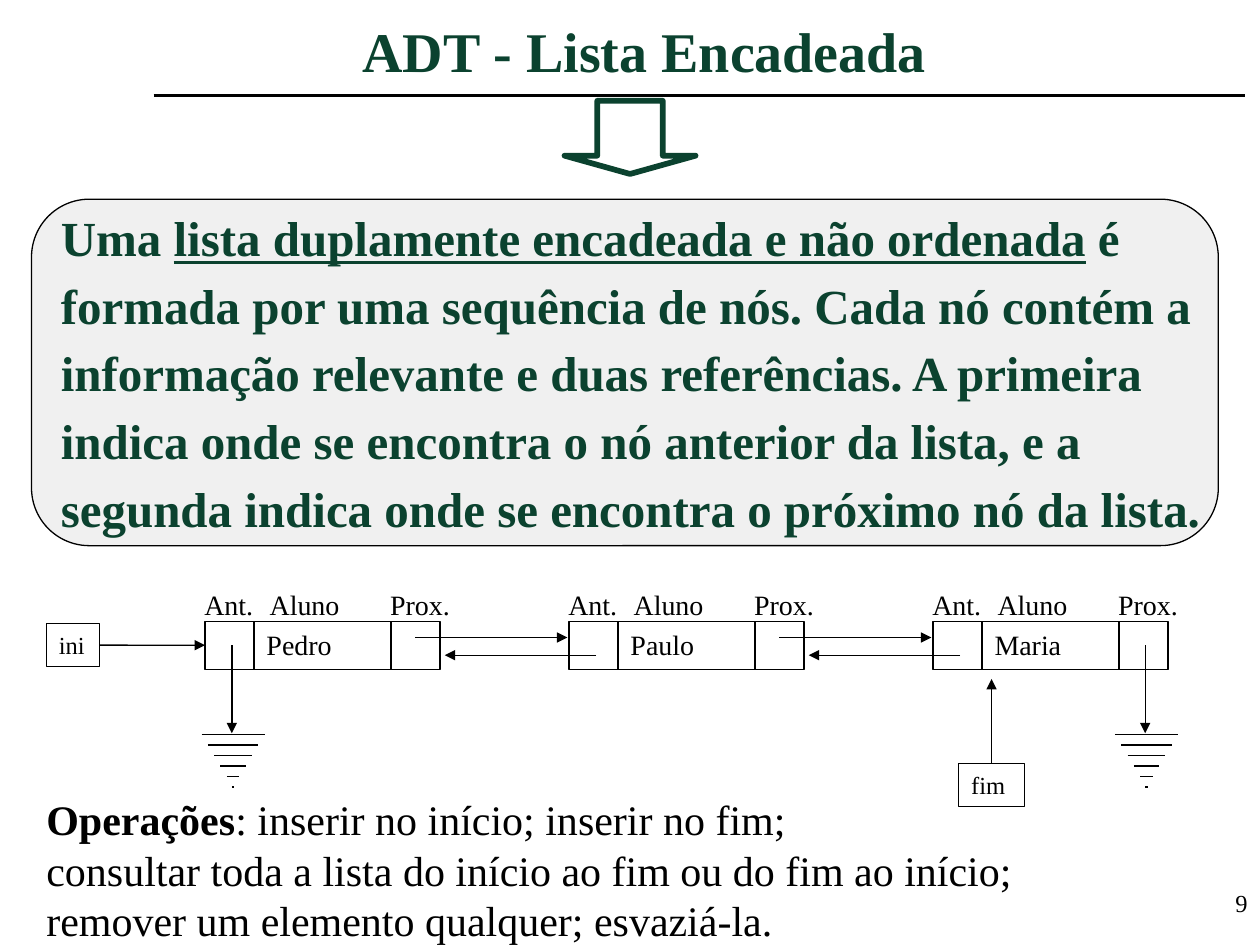
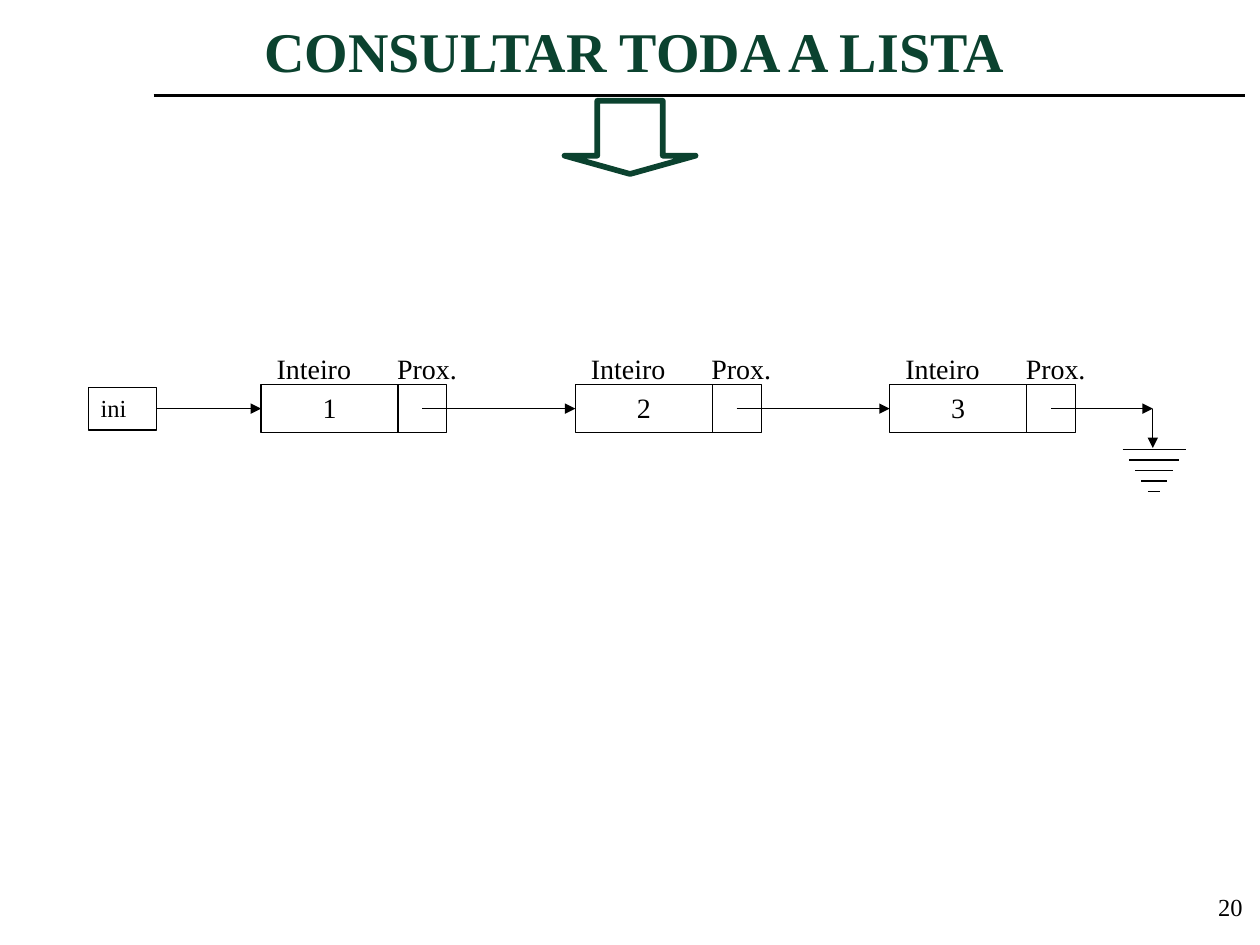
from pptx import Presentation
from pptx.dml.color import RGBColor
from pptx.enum.shapes import MSO_CONNECTOR, MSO_SHAPE
from pptx.enum.text import MSO_ANCHOR, MSO_AUTO_SIZE, PP_ALIGN
from pptx.oxml.ns import qn
from pptx.util import Pt
from lxml.etree import SubElement

GREEN = RGBColor(0x0B, 0x42, 0x2F)
BLACK = RGBColor(0, 0, 0)
PALE = RGBColor(0xF0, 0xF0, 0xF0)
FONT = "Times New Roman"

CONCEPT = [
    [("Uma ", ""), ("lista duplamente encadeada e não ordenada", "u"), (" é", "")],
    [("formada por uma sequência de nós. Cada nó contém a", "")],
    [("informação relevante e duas referências. A primeira", "")],
    [("indica onde se encontra o nó anterior da lista, e a", "")],
    [("segunda indica onde se encontra o próximo nó da lista.", "")],
]
ACTIONS = [
    [("Operações", "b"), (": inserir no início; inserir no fim;", "")],
    [("consultar toda a lista do início ao fim ou do fim ao início;", "")],
    [("remover um elemento qualquer; esvaziá-la.", "")],
]
NAMES = ["Pedro", "Paulo", "Maria"]
NUMBERS = ["1", "2", "3"]

REF, DATA, HIGH = 28, 78.2, 27.4


def write(frame, lines, size, color=BLACK, align=PP_ALIGN.LEFT,
          bold=False, gap=0, wrap=True, anchor=MSO_ANCHOR.TOP):
    frame.word_wrap = wrap
    frame.auto_size = MSO_AUTO_SIZE.NONE
    frame.vertical_anchor = anchor
    for row, line in enumerate(lines):
        para = frame.paragraphs[0] if row == 0 else frame.add_paragraph()
        para.alignment = align
        para.line_spacing = Pt(round(1.2 * size, 2))
        if row:
            para.space_before = Pt(gap)
        font = para.font
        font.name, font.size, font.bold = FONT, Pt(size), bold
        font.color.rgb = color
        for text, mark in line:
            run = para.add_run()
            run.text = text
            if mark == "u":
                run.font.underline = True
            if mark == "b":
                run.font.bold = True


def label(slide, x, y, wide, high, text, size, **style):
    box = slide.shapes.add_textbox(Pt(x), Pt(y), Pt(wide), Pt(high))
    write(box.text_frame, [[(text, "")]], size, **style)


def shape(slide, kind, x, y, wide, high, line=BLACK, width=0.75, fill=None):
    item = slide.shapes.add_shape(kind, Pt(x), Pt(y), Pt(wide), Pt(high))
    item.shadow.inherit = False
    if fill is None:
        item.fill.background()
    else:
        item.fill.solid()
        item.fill.fore_color.rgb = fill
    item.line.color.rgb = line
    item.line.width = Pt(width)
    return item


def cell(slide, x, y, wide, high, text="", size=16, align=PP_ALIGN.LEFT):
    box = shape(slide, MSO_SHAPE.RECTANGLE, x, y, wide, high)
    if text:
        write(box.text_frame, [[(text, "")]], size, align=align)
    return box


def rule(slide, x1, y1, x2, y2, width=0.75, arrow=False, start=None, end=None):
    line = slide.shapes.add_connector(
        MSO_CONNECTOR.STRAIGHT, Pt(x1), Pt(y1), Pt(x2), Pt(y2))
    if start:
        line.begin_connect(*start)
    if end:
        line.end_connect(*end)
    line.line.color.rgb = BLACK
    line.line.width = Pt(width)
    if arrow:
        SubElement(line.line._get_or_add_ln(), qn("a:tailEnd"), type="triangle")
    SubElement(line._element.spPr, qn("a:effectLst"))


def ground(slide, x, top, base, count):
    rule(slide, x, top, x, base - 0.8, arrow=True)
    for step in range(count):
        half = max(36 - 7.2 * step, 1.4) / 2
        y = base + 6 * step
        rule(slide, x + 0.7 - half, y, x + 0.7 + half, y)


def node(slide, x, y, parts, align):
    boxes = []
    for head, text, wide in parts:
        boxes.append(cell(slide, x, y, wide, HIGH, text, align=align))
        shift = 1.8 if text else -7.5
        label(slide, x + shift, y - 22.6, 76 if text else 52.6, 26.6, head, 16)
        x += wide
    return boxes


def frame(deck, title, indent, page, px, py):
    slide = deck.slides.add_slide(deck.slide_layouts[5])
    rule(slide, 87.8, 54.7, 711.4, 54.7, width=1.5)
    head = slide.shapes.title
    head.left, head.top, head.width, head.height = Pt(95.8), Pt(5.8), Pt(606.2), Pt(46)
    head.text_frame.margin_left = Pt(7.2 + indent)
    write(head.text_frame, [[(title, "")]], 32, GREEN, bold=True)
    arrow = shape(slide, MSO_SHAPE.DOWN_ARROW, 322.6, 57.6, 74.9, 41.8, GREEN, 3.25)
    arrow.adjustments[0], arrow.adjustments[1] = 0.5, 0.25
    label(slide, px, py, 149.8, 36, page, 14, align=PP_ALIGN.RIGHT)
    return slide


def double(deck):
    slide = frame(deck, "ADT - Lista Encadeada", 104, "9", 570.2, 504)
    panel = shape(slide, MSO_SHAPE.ROUNDED_RECTANGLE, 18, 113.8, 678.2, 198, fill=PALE)
    panel.adjustments[0] = 0.167
    write(panel.text_frame, CONCEPT, 28, GREEN, bold=True, gap=5,
          wrap=False, anchor=MSO_ANCHOR.MIDDLE)

    left, pitch, top = 117.2, 208, 355
    full = 2 * REF + DATA
    nodes = []
    for spot, name in enumerate(NAMES):
        x = left + spot * pitch
        parts = [("Ant.", "", REF), ("Aluno", name, DATA), ("Prox.", "", REF)]
        nodes.append(node(slide, x, top, parts, PP_ALIGN.LEFT))
        if spot:
            back = x - pitch + full
            rule(slide, back - REF / 2, 364.3, x - 1, 364.3, arrow=True)
            rule(slide, x + 15.5, 374.4, back + 2.8, 374.4, arrow=True)
    last = left + 2 * pitch + full
    for x in (left + 15.3, last - 13):
        ground(slide, x, 368.6, 419.8, 6)

    ini = cell(slide, 26.6, 356.4, 30.4, 24.5, "ini", 14)
    rule(slide, 57, 368.7, left, 368.7, arrow=True,
         start=(ini, 3), end=(nodes[0][0], 1))
    fim = cell(slide, 547.9, 436.3, 37.4, 24.5, "fim", 14)
    rule(slide, 566.6, 436.3, 566.6, 388, arrow=True, start=(fim, 0))

    box = slide.shapes.add_textbox(Pt(19.4), Pt(450), Pt(572.4), Pt(93.6))
    write(box.text_frame, ACTIONS, 24, wrap=False)


def single(deck):
    slide = frame(deck, "CONSULTAR TODA A LISTA", 48, "20", 567.4, 506.2)
    left, pitch, top = 149.2, 179.6, 219.8
    mid = top + HIGH / 2
    prior = cell(slide, 50.4, mid - 12.2, 38.9, 24.4, "ini", 14)
    tail = 89.3
    for spot, number in enumerate(NUMBERS):
        x = left + spot * pitch
        parts = [("Inteiro", number, DATA), ("Prox.", "", REF)]
        boxes = node(slide, x, top, parts, PP_ALIGN.CENTER)
        start = (prior, 3) if spot == 0 else None
        rule(slide, tail, mid, x, mid, arrow=True, start=start, end=(boxes[0], 1))
        tail = x + DATA + REF / 2
    rule(slide, tail, mid, 658.8, mid, arrow=True)
    ground(slide, 658.8, mid, 256.8, 5)


def main():
    deck = Presentation()
    deck.slide_width, deck.slide_height = Pt(720), Pt(540)
    double(deck)
    single(deck)
    deck.save("out.pptx")


if __name__ == "__main__":
    main()
